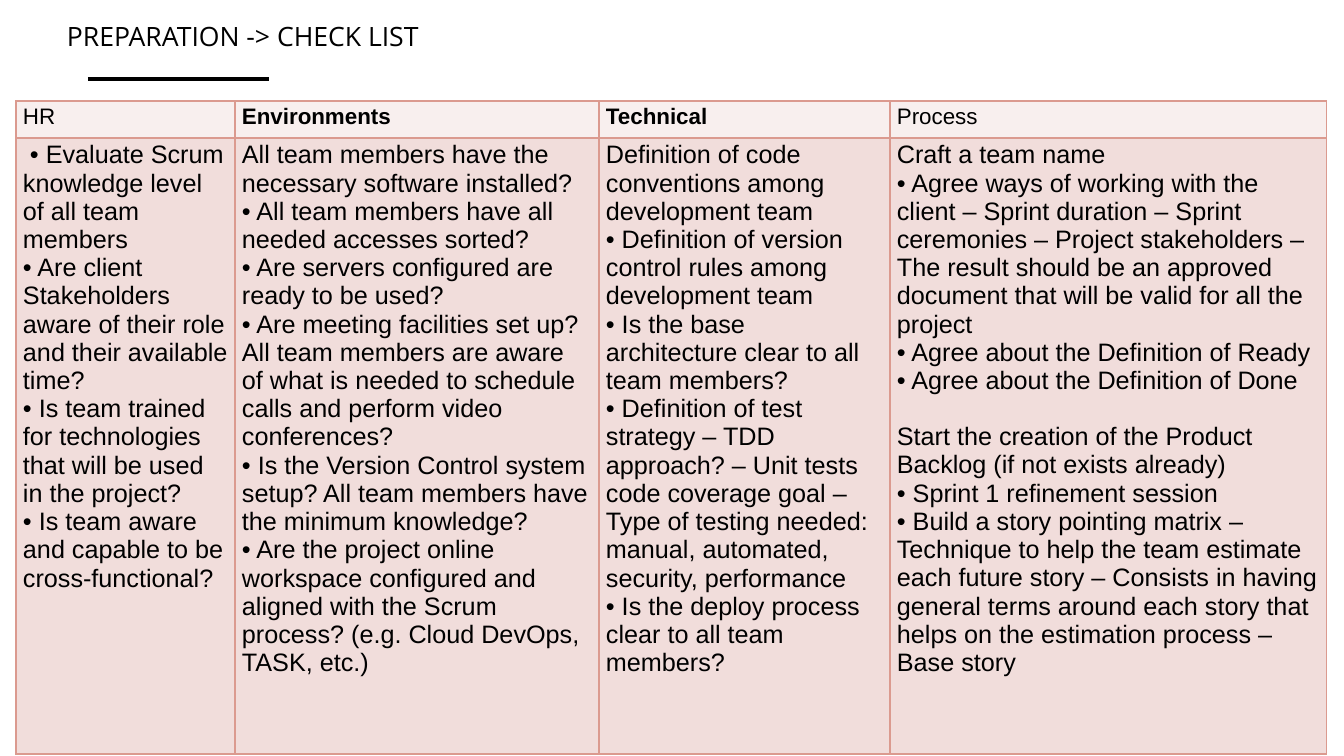
from lxml import etree
from pptx import Presentation
from pptx import util as u
from pptx.dml import color
from pptx.enum import shapes, text
from pptx.oxml import ns

PX = 914400 / 100.8
COLORS = {
    "ink": "000000",
    "border": "DB9A8F",
    "header": "F8EFEE",
    "body": "F1DDDB",
}
COLUMN_WIDTHS = [219, 364, 291, 437]
ROW_HEIGHTS = [37, 616]
GAP = "gap before"

# Each column: heading, heading is bold, paragraphs (GAP adds space above the next)
CHECKLIST = [
    ("HR", False, [
        " • Evaluate Scrum knowledge level of all team members",
        "• Are client Stakeholders aware of their role and their available time?",
        "• Is team trained for technologies that will be used in the project?",
        "• Is team aware and capable to be cross-functional?",
    ]),
    ("Environments", True, [
        "All team members have the necessary software installed?",
        "• All team members have all needed accesses sorted?",
        "• Are servers configured are ready to be used?",
        "• Are meeting facilities set up? All team members are aware of what is "
        "needed to schedule calls and perform video conferences?",
        "• Is the Version Control system setup? All team members have the "
        "minimum knowledge?",
        "• Are the project online workspace configured and aligned with the "
        "Scrum process? (e.g. Cloud DevOps, TASK, etc.)",
    ]),
    ("Technical", True, [
        "Definition of code conventions among development team",
        "• Definition of version control rules among development team",
        "• Is the base architecture clear to all team members?",
        "• Definition of test strategy ‒ TDD approach? ‒ Unit tests code coverage "
        "goal ‒ Type of testing needed: manual, automated, security, performance",
        "• Is the deploy process clear to all team members?",
    ]),
    ("Process", False, [
        "Craft a team name",
        "• Agree ways of working with the client ‒ Sprint duration ‒ Sprint "
        "ceremonies ‒ Project stakeholders ‒ The result should be an approved "
        "document that will be valid for all the project",
        "• Agree about the Definition of Ready",
        "• Agree about the Definition of Done",
        GAP,
        "Start the creation of the Product Backlog (if not exists already)",
        "• Sprint 1 refinement session",
        "• Build a story pointing matrix ‒ Technique to help the team estimate "
        "each future story ‒ Consists in having general terms around each story "
        "that helps on the estimation process ‒ Base story",
    ]),
]


def px(length):
    return u.Emu(round(length * PX))


def rgb(name):
    return color.RGBColor.from_string(COLORS[name])


def add_run(paragraph, words, size, font="Arial", bold=False):
    run = paragraph.add_run()
    run.text = words
    run.font.name = font
    run.font.size = u.Pt(size)
    run.font.bold = bold
    run.font.color.rgb = rgb("ink")


def add_title(slide, words):
    box = slide.shapes.add_textbox(px(57), px(21), px(1199), px(37))
    frame = box.text_frame
    frame.word_wrap = True
    frame.vertical_anchor = text.MSO_ANCHOR.TOP
    paragraph = frame.paragraphs[0]
    paragraph.line_spacing = 0.8
    add_run(paragraph, words, 19, font="Open Sans")


def add_rule(slide, left, right, y):
    rule = slide.shapes.add_connector(
        shapes.MSO_CONNECTOR.STRAIGHT, px(left), px(y), px(right), px(y))
    rule.line.color.rgb = rgb("ink")
    rule.line.width = u.Pt(3.5)
    etree.SubElement(rule._element.spPr, ns.qn("a:effectLst"))


def style_cell(cell, fill):
    cell.margin_left = cell.margin_right = px(7)
    cell.margin_top = cell.margin_bottom = px(3)
    # Borders precede the fill in the cell properties
    properties = cell._tc.get_or_add_tcPr()
    for side in ("lnL", "lnR", "lnT", "lnB"):
        line = etree.SubElement(properties, ns.qn(f"a:{side}"), w=str(u.Pt(1)))
        solid = etree.SubElement(line, ns.qn("a:solidFill"))
        etree.SubElement(solid, ns.qn("a:srgbClr"), val=COLORS["border"])
    cell.fill.solid()
    cell.fill.fore_color.rgb = rgb(fill)


def fill_cell(cell, lines, size, bold=False):
    frame = cell.text_frame
    paragraph = None
    space_before = 0
    for line in lines:
        if line == GAP:
            space_before = 20
            continue
        paragraph = frame.add_paragraph() if paragraph else frame.paragraphs[0]
        if space_before:
            paragraph.space_before = u.Pt(space_before)
            space_before = 0
        add_run(paragraph, line, size, bold=bold)


def add_checklist(slide):
    table = slide.shapes.add_table(
        len(ROW_HEIGHTS), len(COLUMN_WIDTHS), px(16), px(101),
        px(sum(COLUMN_WIDTHS)), px(sum(ROW_HEIGHTS))).table
    for row, height in zip(table.rows, ROW_HEIGHTS):
        row.height = px(height)
    for index, (heading, bold, lines) in enumerate(CHECKLIST):
        table.columns[index].width = px(COLUMN_WIDTHS[index])
        header, body = table.cell(0, index), table.cell(1, index)
        style_cell(header, "header")
        style_cell(body, "body")
        fill_cell(header, [heading], 16, bold)
        fill_cell(body, lines, 18)


def main():
    presentation = Presentation()
    presentation.slide_width = px(1344)
    presentation.slide_height = px(756)
    slide = presentation.slides.add_slide(presentation.slide_layouts[6])

    # Heading with its rule
    add_title(slide, "PREPARATION -> CHECK LIST")
    add_rule(slide, 88, 269, 79)

    # Checklist table
    add_checklist(slide)

    presentation.save("out.pptx")


if __name__ == "__main__":
    main()
